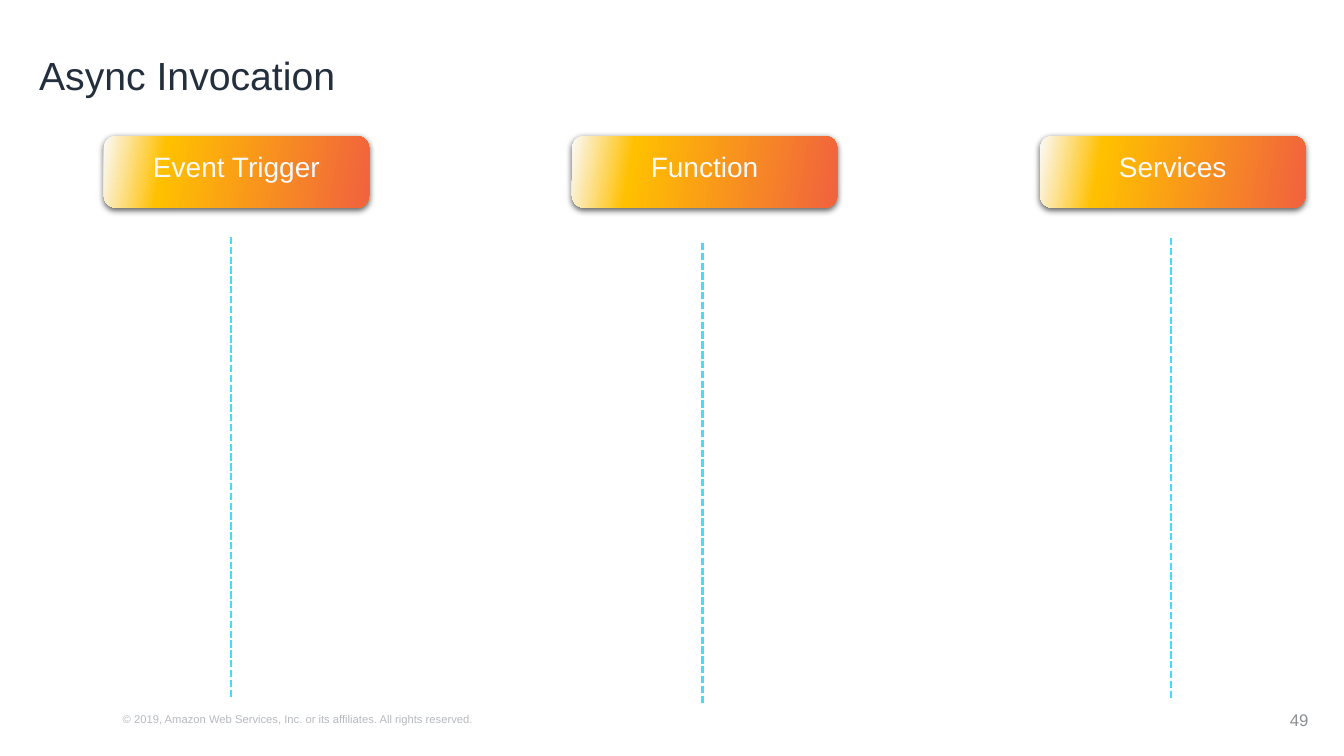
from copy import deepcopy
from dataclasses import dataclass

from pptx import Presentation
from pptx.dml.color import RGBColor
from pptx.enum.dml import MSO_LINE
from pptx.enum.shapes import MSO_CONNECTOR, MSO_SHAPE
from pptx.enum.text import MSO_ANCHOR, PP_ALIGN
from pptx.oxml import parse_xml
from pptx.oxml.ns import nsdecls, qn
from pptx.util import Pt


@dataclass(frozen=True)
class Theme:
    font: str = "Arial"
    title_color: str = "232F3D"
    footer_color: str = "B6BABF"
    number_color: str = "8D8F92"
    label_color: str = "FAFAFA"
    lifeline_color: str = "45DAFF"
    header_stops: tuple = ((0, "FAFAFA"), (0.23, "FFC000"), (1, "F1623E"))
    title_size: int = 28
    label_size: int = 20
    number_size: int = 12
    footer_size: int = 8


def write_text(shape, text, *, font, size, color, align=PP_ALIGN.LEFT,
               anchor=MSO_ANCHOR.TOP, line_spacing=None):
    frame = shape.text_frame
    frame.word_wrap = True
    frame.vertical_anchor = anchor
    paragraph = frame.paragraphs[0]
    paragraph.alignment = align
    paragraph.line_spacing = line_spacing
    run = paragraph.add_run()
    run.text = text
    run.font.name = font
    run.font.size = Pt(size)
    run.font.color.rgb = RGBColor.from_string(color)


class SequenceSlide:
    def __init__(self, slide, theme):
        self.slide = slide
        self.theme = theme

    def text(self, text, left, top, width, height, **text_format):
        box = self.slide.shapes.add_textbox(Pt(left), Pt(top), Pt(width), Pt(height))
        write_text(box, text, font=self.theme.font, **text_format)

    def header(self, text, left, top, width, height):
        shape = self.slide.shapes.add_shape(
            MSO_SHAPE.ROUNDED_RECTANGLE, Pt(left), Pt(top), Pt(width), Pt(height))
        shape.line.fill.background()
        self.fill_gradient(shape)
        self.cast_shadow(shape)
        shape.text_frame.margin_top = Pt(7.2)
        write_text(shape, text, font=self.theme.font, size=self.theme.label_size,
                   color=self.theme.label_color, align=PP_ALIGN.CENTER)

    def fill_gradient(self, shape):
        shape.fill.gradient()
        shape.fill.gradient_angle = 350
        stop_list = shape._element.spPr.find(qn("a:gradFill")).find(qn("a:gsLst"))
        stop_list.append(deepcopy(stop_list[-1]))
        for stop, (position, color) in zip(shape.fill.gradient_stops,
                                           self.theme.header_stops):
            stop.position = position
            stop.color.rgb = RGBColor.from_string(color)

    def cast_shadow(self, shape):
        shape.shadow.inherit = False
        effects = shape._element.spPr.find(qn("a:effectLst"))
        effects.append(parse_xml(
            f'<a:outerShdw {nsdecls("a")} blurRad="{Pt(4.5)}" dist="{Pt(1.5)}" '
            'dir="5400000" algn="ctr" rotWithShape="0"><a:srgbClr val="000000">'
            '<a:alpha val="63000"/></a:srgbClr></a:outerShdw>'))

    def lifeline(self, x, top, bottom):
        connector = self.slide.shapes.add_connector(
            MSO_CONNECTOR.STRAIGHT, Pt(x), Pt(top), Pt(x), Pt(bottom))
        connector.line.color.rgb = RGBColor.from_string(self.theme.lifeline_color)
        connector.line.width = Pt(1.75)
        connector.line.dash_style = MSO_LINE.SQUARE_DOT
        connector._element.spPr.append(parse_xml(f'<a:effectLst {nsdecls("a")}/>'))


def main():
    presentation = Presentation()
    presentation.slide_width, presentation.slide_height = Pt(960), Pt(540)
    theme = Theme()
    page = SequenceSlide(
        presentation.slides.add_slide(presentation.slide_layouts[6]), theme)

    # Footer, title and page number
    page.text("© 2019, Amazon Web Services, Inc. or its affiliates. All rights reserved.",
              80.6, 505.4, 600.5, 17.3, size=theme.footer_size, color=theme.footer_color)
    page.text("Async Invocation", 20.9, 32.4, 920.9, 46.8, size=theme.title_size,
              color=theme.title_color, anchor=MSO_ANCHOR.MIDDLE, line_spacing=0.9)
    page.text("49", 725.8, 499.7, 216, 28.8, size=theme.number_size,
              color=theme.number_color, align=PP_ALIGN.RIGHT, anchor=MSO_ANCHOR.MIDDLE)

    # Participants: header label, lifeline x, top and bottom
    participants = (
        ("Event Trigger", 164.9, 169.2, 498.2),
        ("Function", 501.8, 173.5, 503.3),
        ("Services", 836.6, 169.9, 499),
    )
    first_left, pitch = 74.2, 334.4
    for column, (label, x, top, bottom) in enumerate(participants):
        page.header(label, first_left + column * pitch, 97.2, 189.4, 51.1)
        page.lifeline(x, top, bottom)

    presentation.save("out.pptx")


if __name__ == "__main__":
    main()
